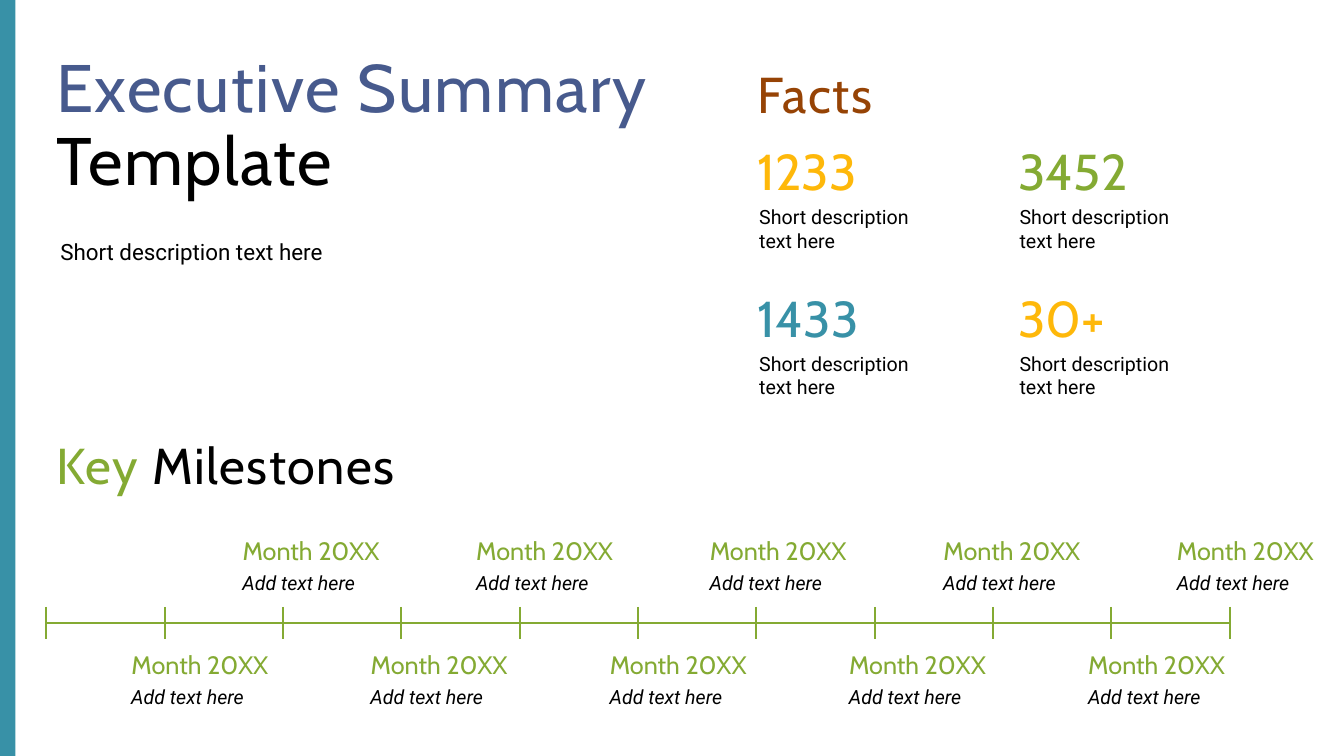
from dataclasses import dataclass

from lxml import etree
from pptx import Presentation
from pptx.dml.color import RGBColor
from pptx.enum import shapes, text
from pptx.oxml import ns
from pptx.util import Pt


@dataclass(frozen=True)
class Theme:
    """Colours, fonts and type sizes of the slide."""
    black: str = "000000"
    blue: str = "475A8D"
    brown: str = "964305"
    amber: str = "FEB80A"
    teal: str = "3891A7"
    green: str = "84AA33"
    display: str = "Cabin"
    body: str = "Roboto"
    title: int = 48
    heading: int = 36
    tagline: int = 16
    month: int = 18
    detail: int = 14
    tracking: int = 110


THEME = Theme()


def add_heading(parent, box, spans, size=THEME.heading, tracking=THEME.tracking):
    """Place display type made of (words, colour) spans."""
    frame = parent.add_textbox(*map(Pt, box)).text_frame
    frame.word_wrap = True
    para = frame.paragraphs[0]
    para.line_spacing = 0.9
    para.font.name, para.font.size = THEME.display, Pt(size)
    for words, colour in spans:
        span = para.add_run()
        span.text = words
        span.font.color.rgb = RGBColor.from_string(colour)
        if tracking:
            span._r.get_or_add_rPr().set("spc", str(tracking))


def add_label(parent, box, words, size, font=THEME.body, colour=THEME.black, italic=None):
    """Place words in a clear rounded rectangle."""
    label = parent.add_shape(shapes.MSO_SHAPE.ROUNDED_RECTANGLE, *map(Pt, box))
    label.adjustments[0] = 0.08
    label.shadow.inherit = False
    label.fill.background()
    label.line.fill.background()
    frame = label.text_frame
    frame.word_wrap = True
    frame.vertical_anchor = text.MSO_ANCHOR.TOP
    para = frame.paragraphs[0]
    para.text = words
    para.alignment = text.PP_ALIGN.LEFT
    para.font.name, para.font.size, para.font.italic = font, Pt(size), italic
    para.font.color.rgb = RGBColor.from_string(colour)


def add_rule(parent, start, end):
    """Draw a green timeline rule between two points."""
    rule = parent.add_connector(shapes.MSO_CONNECTOR.STRAIGHT, *map(Pt, start + end))
    rule.line.color.rgb = RGBColor.from_string(THEME.green)
    rule.line.width = Pt(1.5)
    etree.SubElement(rule._element.spPr, ns.qn("a:effectLst"))


def add_side_bar(page, box):
    """Draw the teal bar down the left edge."""
    bar = page.shapes.add_shape(shapes.MSO_SHAPE.RECTANGLE, *map(Pt, box))
    bar.shadow.inherit = False
    bar.fill.solid()
    bar.fill.fore_color.rgb = RGBColor.from_string(THEME.teal)
    bar.line.fill.background()


def add_introduction(page, box):
    """Place the title and the tagline below it."""
    left, top, width, height = box
    add_heading(page.shapes, (left, top, width, 111),
                [("Executive Summary", THEME.blue), (" Template", THEME.black)], THEME.title)
    add_label(page.shapes, (left, top + 128, 417, height - 128),
              "Short description text here", THEME.tagline)


def add_facts(page, box):
    """Place the facts heading and a two by two grid of figures."""
    left, top, width, height = box
    add_heading(page.shapes, (left, top, width, 46), [("Facts", THEME.brown)])
    figures = [("1233", THEME.amber), ("3452", THEME.green),
               ("1433", THEME.teal), ("30+", THEME.amber)]
    for index, figure in enumerate(figures):
        row, column = divmod(index, 2)
        x, y = left + column * 186, top + 55.4 + row * 104.4
        add_heading(page.shapes, (x, y, 103, 46), [figure], tracking=None)
        add_label(page.shapes, (x, y + 40.3, 198, 43),
                  "Short description \vtext here", THEME.detail)


def add_milestone(page, left, top):
    """Place one month with its detail line."""
    group = page.shapes.add_group_shape().shapes
    add_label(group, (left, top, 198, 30), "Month 20XX", THEME.month,
              THEME.display, THEME.green)
    add_label(group, (left, top + 25.2, 198.5, 25), "Add text here", THEME.detail, italic=True)


def add_milestones(page, box):
    """Place the milestones heading, the ruled axis and its labels."""
    left, top, width, height = box
    add_heading(page.shapes, (left, top, 385, 46),
                [("Key ", THEME.green), ("Milestones", THEME.black)])
    axis = page.shapes.add_group_shape().shapes
    middle, gaps = top + 133.2, 10
    add_rule(axis, (left, middle), (left + width, middle))
    for index in range(gaps + 1):
        x = left + index * width / gaps
        add_rule(axis, (x, middle - 11.5), (x, middle + 11.5))
    for index in range(5):
        add_milestone(page, left + 132.4 + index * 166.86, middle - 66.8)
        add_milestone(page, left + 53 + index * 170.86, middle + 14.6)


def main():
    """Build the executive summary slide."""
    deck = Presentation()
    deck.slide_width, deck.slide_height = Pt(960), Pt(540)
    page = deck.slides.add_slide(deck.slide_layouts[6])
    add_introduction(page, (33.1, 35.5, 502.6, 251.3))
    add_facts(page, (534.2, 46.4, 384.5, 243.4))
    add_milestones(page, (33.1, 311.8, 845.2, 198))
    add_side_bar(page, (0, -1.2, 11, 542.2))
    deck.save("out.pptx")


if __name__ == "__main__":
    main()
